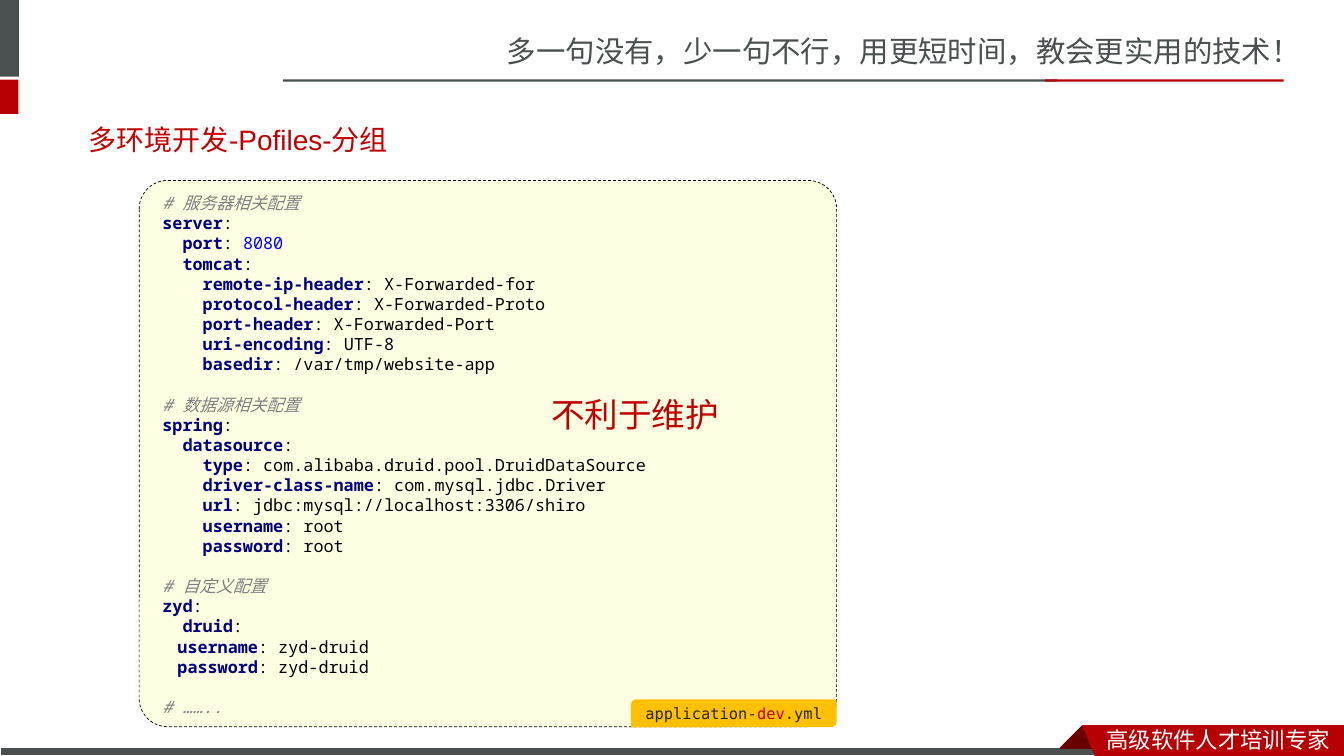
from pptx import Presentation
from pptx.dml.color import RGBColor
from pptx.enum.dml import MSO_LINE
from pptx.enum.shapes import MSO_SHAPE
from pptx.enum.text import MSO_ANCHOR, MSO_AUTO_SIZE, PP_ALIGN
from pptx.oxml.ns import qn
from pptx.util import Pt

RECT = MSO_SHAPE.RECTANGLE
ROUND = MSO_SHAPE.ROUNDED_RECTANGLE
DIAG = MSO_SHAPE.ROUND_2_DIAG_RECTANGLE
DASH = MSO_LINE.DASH
MIDDLE = MSO_ANCHOR.MIDDLE
LEFT, CENTER = PP_ALIGN.LEFT, PP_ALIGN.CENTER
NO_FIT = MSO_AUTO_SIZE.NONE

SANS, MONO = "Noto Sans CJK SC", "Noto Sans Mono"
GREY, RED, DARK = "49504F", "B60004", "680000"
ACCENT, WHITE, BLACK = "C00000", "FFFFFF", "000000"
KEY, NOTE, NUMBER = "000080", "808080", "0000FF"
LEAD = 14.4


def write(para, text, size=12, font=SANS, asian=SANS, color=BLACK, bold=False, italic=False):
    """Add one formatted run to a paragraph."""
    run = para.add_run()
    run.text = text
    face = run.font
    face.size, face.name = Pt(size), font
    face.bold, face.italic = bold, italic
    face.color.rgb = RGBColor.from_string(color)
    face._element.get_or_add_latin().addnext(
        face._element.makeelement(qn("a:ea"), {"typeface": asian}))


def paint(shape, fill, line=None, width=0.5):
    shape.shadow.inherit = False
    shape.fill.solid()
    shape.fill.fore_color.rgb = RGBColor.from_string(fill)
    if line:
        shape.line.color.rgb = RGBColor.from_string(line)
        shape.line.width = Pt(width)
    else:
        shape.line.fill.background()


deck = Presentation()
deck.slide_width, deck.slide_height = Pt(960), Pt(540)
slide = deck.slides.add_slide(deck.slide_layouts[5])
shapes = slide.shapes

# Header bars and footer
bars = [
    (0, 0, 13.5, 54.7, GREY, None),
    (0, 56.9, 13.2, 24.5, RED, None),
    (202.3, 56.7, 553, 1.6, GREY, None),
    (746.6, 56.7, 170.4, 1.6, RED, None),
    (0, 533.6, 791, 6.4, GREY, WHITE),
]
for x, y, w, h, fill, line in bars:
    bar = shapes.add_shape(RECT, Pt(x), Pt(y), Pt(w), Pt(h))
    paint(bar, fill, line, 0.75)

ribbons = [
    (DARK, [(772.6, 518.4), (788.4, 534.2), (787.7, 535), (757.4, 535), (756.7, 534.2)]),
    (RED, [(772.6, 518.4), (960, 518.4), (960, 540), (782, 540)]),
]
for fill, points in ribbons:
    start, *rest = points
    pen = shapes.build_freeform(*start, scale=Pt(1))
    pen.add_line_segments(rest, close=True)
    paint(pen.convert_to_shape(), fill)

# Title
title = shapes.title
title.left, title.top, title.width, title.height = Pt(56.2), Pt(79.2), Pt(842.4), Pt(41)
frame = title.text_frame
frame.auto_size, frame.vertical_anchor = NO_FIT, MIDDLE
frame.paragraphs[0].alignment = LEFT
write(frame.paragraphs[0], "多环境开发-Pofiles-分组", size=20, font="Arial", color=ACCENT)

# Code panel and its file label
panel = shapes.add_shape(ROUND, Pt(99.4), Pt(128.9), Pt(498.2), Pt(390.2))
panel.adjustments[0] = 0.052
paint(panel, "FFFFE4", BLACK)
panel.line.dash_style = DASH

label = shapes.add_shape(DIAG, Pt(450.7), Pt(499.5), Pt(146.9), Pt(20))
label.adjustments[0], label.adjustments[1] = 0.196, 0
paint(label, "FFC000")
frame = label.text_frame
frame.word_wrap, frame.vertical_anchor = False, MIDDLE
frame.margin_top = frame.margin_bottom = 0
frame.paragraphs[0].alignment = CENTER
for part, color in (("application-", "262626"), ("dev", ACCENT), (".yml", "262626")):
    write(frame.paragraphs[0], part, size=11, font="DejaVu Sans Mono", color=color)

# Code sections: the pad of the last two keys is in the sans font
sections = [
    """# 服务器相关配置
server:
  port: 8080
  tomcat:
    remote-ip-header: X-Forwarded-for
    protocol-header: X-Forwarded-Proto
    port-header: X-Forwarded-Port
    uri-encoding: UTF-8
    basedir: /var/tmp/website-app""",
    """# 数据源相关配置
spring:
  datasource:
    type: com.alibaba.druid.pool.DruidDataSource
    driver-class-name: com.mysql.jdbc.Driver
    url: jdbc:mysql://localhost:3306/shiro
    username: root
    password: root""",
    """# 自定义配置
zyd:
  druid:
    username: zyd-druid
    password: zyd-druid""",
    "# ……..",
]
code = shapes.add_textbox(Pt(108.9), Pt(134.2), Pt(409.7), Pt(385))
frame = code.text_frame
frame.word_wrap = True
para = frame.paragraphs[0]
for index, section in enumerate(sections):
    for row, line in enumerate(section.splitlines()):
        if index or row:
            para = frame.add_paragraph()
        para.line_spacing = Pt(LEAD)
        if index and row == 0:
            para.space_before = Pt(LEAD)
        if line.startswith("#"):
            write(para, line, font=MONO, color=NOTE, italic=True)
            continue
        key, colon, value = line.partition(":")
        name = key.lstrip()
        pad = key[:len(key) - len(name)]
        if pad:
            write(para, pad, font=SANS if value.endswith("zyd-druid") else MONO)
        write(para, name, font=MONO, color=KEY, bold=True)
        if value.strip().isdigit():
            write(para, ": ", font=MONO)
            write(para, value.strip(), font=MONO, color=NUMBER)
        else:
            write(para, colon + value, font=MONO)

# Single-line texts
captions = [
    ("多一句没有，少一句不行，用更短时间，教会更实用的技术！", 355, 20.2, 605, 33.8, 21, SANS, GREY),
    ("高级软件人才培训专家", 783.4, 514.8, 176.6, 25.2, 16, SANS, WHITE),
    ("不利于维护", 386.6, 277.9, 135.4, 36, 24, "Noto Sans CJK JP", ACCENT),
]
for text, x, y, w, h, size, font, color in captions:
    box = shapes.add_textbox(Pt(x), Pt(y), Pt(w), Pt(h))
    box.text_frame.word_wrap = False
    write(box.text_frame.paragraphs[0], text, size=size, font=font, asian=font, color=color)

deck.save("out.pptx")
